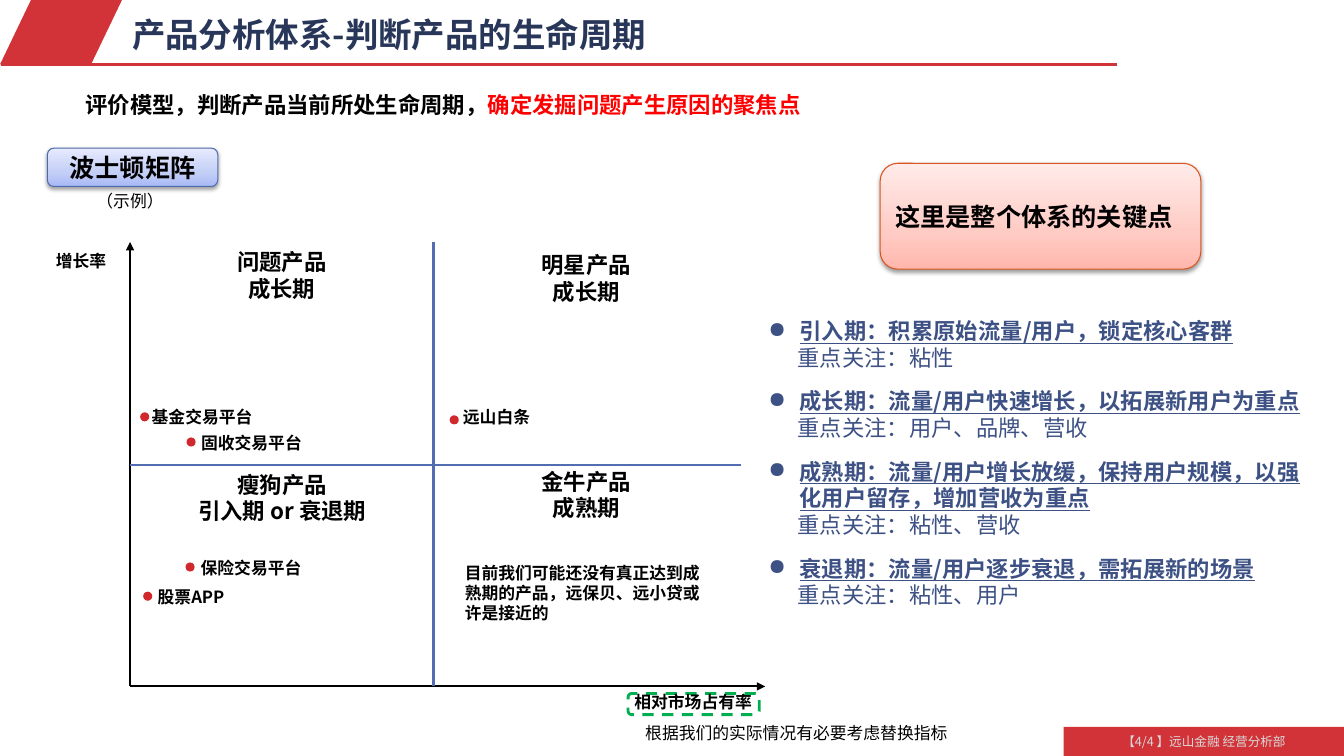
from copy import deepcopy

from lxml import etree
from pptx import Presentation
from pptx.dml.color import RGBColor
from pptx.enum import dml, shapes, text
from pptx.oxml import ns
from pptx.util import Inches, Pt

FONT = "Noto Sans CJK SC"
BLACK, RED, BLUE = "000000", "D13338", "526DB0"
LEFT, CENTER = text.PP_ALIGN.LEFT, text.PP_ALIGN.CENTER
MIDDLE = text.MSO_ANCHOR.MIDDLE
AXIS_X, AXIS_Y, TOP = 1.29, 6.81, 2.4

QUADRANTS = [
    ((2.31, 2.46, 0.97, 0.54), "问题产品", "成长期"),
    ((5.33, 2.49, 0.97, 0.48), "明星产品", "成长期"),
    ((1.91, 4.67, 1.78, 0.48), "瘦狗产品", "引入期 or 衰退期"),
    ((5.33, 4.64, 0.97, 0.48), "金牛产品", "成熟期"),
]
PRODUCTS = [
    ((1.42, 5.87), (1.41, 5.82, 0.97, 0.18), "股票APP"),
    ((1.39, 4.09), (1.47, 4.04, 1.07, 0.2), "基金交易平台"),
    ((4.46, 4.12), (4.44, 4.04, 0.97, 0.2), "远山白条"),
    ((1.84, 5.58), (1.95, 5.53, 1.08, 0.2), "保险交易平台"),
    ((1.85, 4.34), (1.96, 4.29, 1.07, 0.2), "固收交易平台"),
]
STAGES = [
    ("引入期：积累原始流量/用户，锁定核心客群", "粘性"),
    ("成长期：流量/用户快速增长，以拓展新用户为重点", "用户、品牌、营收"),
    ("成熟期：流量/用户增长放缓，保持用户规模，以强化用户留存，增加营收为重点", "粘性、营收"),
    ("衰退期：流量/用户逐步衰退，需拓展新的场景", "粘性、用户"),
]


def rgb(color):
    """Turn a hex string into a colour."""
    return RGBColor.from_string(color)


def add_xml(parent, tag, **attrs):
    """Append a child element with the given attributes."""
    return etree.SubElement(parent, ns.qn(tag), attrs)


def add_run(p, words, size, color=BLACK, bold=True, underline=False):
    """Add one formatted run to a paragraph."""
    r = p.add_run()
    r.text = words
    r.font.size, r.font.name = Pt(size), FONT
    r.font.bold, r.font.underline = bold, underline
    r.font.color.rgb = rgb(color)
    add_xml(r.font._element, "a:ea", typeface=FONT)


def add_text(s, box, lines, size, color=BLACK, bold=True, align=CENTER):
    """Add a text box without margins, one paragraph per line."""
    tf = s.shapes.add_textbox(*map(Inches, box)).text_frame
    tf.word_wrap = True
    tf.margin_left = tf.margin_right = tf.margin_top = tf.margin_bottom = 0
    for i, line in enumerate(lines):
        p = tf.add_paragraph() if i else tf.paragraphs[0]
        p.alignment = align
        add_run(p, line, size, color, bold)
    return tf


def add_shape(s, kind, box, fill=None, line=None, width=0.75):
    """Add a flat preset shape."""
    sp = s.shapes.add_shape(kind, *map(Inches, box))
    sp.shadow.inherit = False
    if fill:
        sp.fill.solid()
        sp.fill.fore_color.rgb = rgb(fill)
    else:
        sp.fill.background()
    if line:
        sp.line.color.rgb = rgb(line)
        sp.line.width = Pt(width)
    else:
        sp.line.fill.background()
    return sp


def label_shape(sp, words, size, color=BLACK, bold=True, align=CENTER):
    """Write centred-height text inside a shape."""
    tf = sp.text_frame
    tf.word_wrap = True
    tf.vertical_anchor = MIDDLE
    p = tf.paragraphs[0]
    p.alignment = align
    add_run(p, words, size, color, bold)


def add_card(s, box, colors, line, words, align):
    """Add a rounded card with a gradient and a soft shadow."""
    sp = add_shape(s, shapes.MSO_SHAPE.ROUNDED_RECTANGLE, box, line=line)
    sp.fill.gradient()
    sp.fill.gradient_angle = 90
    stops = sp._element.spPr.find(".//" + ns.qn("a:gsLst"))
    stops.append(deepcopy(stops[-1]))
    for stop, color, position in zip(sp.fill.gradient_stops, colors, (0, 0.35, 1)):
        stop.color.rgb = rgb(color)
        stop.position = position
    effects = sp._element.spPr.find(ns.qn("a:effectLst"))
    shadow = add_xml(effects, "a:outerShdw", blurRad=str(Pt(3.1)), dist=str(Pt(1.6)),
                     dir="5400000", rotWithShape="0")
    add_xml(add_xml(shadow, "a:srgbClr", val=BLACK), "a:alpha", val="38000")
    label_shape(sp, words, 18, align=align)


def add_line(s, start, end, color, arrow=False):
    """Add a straight line, optionally with an arrowhead."""
    ends = map(Inches, (*start, *end))
    c = s.shapes.add_connector(shapes.MSO_CONNECTOR.STRAIGHT, *ends)
    c.line.color.rgb = rgb(color)
    c.line.width = Pt(1.5)
    if arrow:
        add_xml(c.line._get_or_add_ln(), "a:tailEnd", type="triangle")
    add_xml(c._element.spPr, "a:effectLst")


def add_frame(s):
    """Add the heading band and the footer."""
    add_line(s, (0.01, 0.64), (11.08, 0.64), RED)
    band = add_shape(s, shapes.MSO_SHAPE.PARALLELOGRAM, (0, 0, 1.21, 0.64), RED)
    band.adjustments[0] = 0.48
    footer = add_shape(s, shapes.MSO_SHAPE.RECTANGLE, (10.55, 7.21, 2.78, 0.29), RED)
    label_shape(footer, "【4/4 】远山金融 经营分析部", 9, "D9D9D9", False)
    title = add_text(s, (1.31, 0.14, 9.34, 0.4), ["产品分析体系-判断产品的生命周期"],
                     23.9, "283659", align=LEFT)
    title.vertical_anchor = MIDDLE


def add_matrix(s):
    """Add the growth and share matrix with its products."""
    share = add_shape(s, shapes.MSO_SHAPE.ROUNDED_RECTANGLE, (6.23, 6.88, 1.3, 0.21),
                      line="00B050", width=2)
    share.line.dash_style = dml.MSO_LINE.DASH
    origin = (AXIS_X, AXIS_Y)
    add_line(s, origin, (AXIS_X, TOP), BLACK, arrow=True)
    add_line(s, origin, (7.59, AXIS_Y), BLACK, arrow=True)
    add_line(s, (4.3, TOP), (4.3, AXIS_Y), BLUE)
    add_line(s, (AXIS_X, 4.61), (7.35, 4.61), BLUE)
    add_text(s, (0.32, 2.49, 0.97, 0.18), ["增长率"], 12)
    add_text(s, (6.17, 6.86, 1.41, 0.18), ["相对市场占有率"], 12)
    for box, *lines in QUADRANTS:
        add_text(s, box, lines, 16)
    for dot, box, name in PRODUCTS:
        add_shape(s, shapes.MSO_SHAPE.OVAL, (*dot, 0.09, 0.09), "D1282E")
        add_text(s, box, [name], 12)
    add_text(s, (4.61, 5.58, 2.45, 0.61),
             ["目前我们可能还没有真正达到成熟期的产品，远保贝、远小贷或许是接近的"], 12, align=LEFT)


def add_stages(s):
    """Add the bulleted life cycle stages."""
    tf = add_text(s, (7.62, 3.15, 5.39, 2.92), [], 15.9)
    for i, (stage, focus) in enumerate(STAGES):
        p = tf.add_paragraph() if i else tf.paragraphs[0]
        p.space_before = Pt(12 if i else 0)
        pPr = p._p.get_or_add_pPr()
        pPr.set("marL", str(Inches(0.31)))
        pPr.set("indent", str(Inches(-0.31)))
        add_xml(pPr, "a:buChar", char="●")
        add_run(p, stage, 15.9, "3D5185", underline=True)
        p = tf.add_paragraph()
        p._p.get_or_add_pPr().set("marL", str(Inches(0.29)))
        add_run(p, "重点关注：" + focus, 15.9, "3D5185", bold=False)


def main():
    """Build and save the slide."""
    prs = Presentation()
    prs.slide_width, prs.slide_height = Inches(13.33), Inches(7.5)
    s = prs.slides.add_slide(prs.slide_layouts[6])
    add_frame(s)
    add_card(s, (0.47, 1.47, 1.69, 0.38), ("A9B9F6", "C3CEF7", "E7EBFD"), "4E6AAE",
             "波士顿矩阵", CENTER)
    lead = add_text(s, (0.85, 0.9, 10.27, 0.27), ["评价模型，判断产品当前所处生命周期，"],
                    16, align=LEFT)
    add_run(lead.paragraphs[0], "确定发掘问题产生原因的聚焦点", 16, "FF0000")
    add_text(s, (0.75, 1.89, 1.08, 0.2), ["（示例）"], 12, bold=False)
    add_stages(s)
    add_matrix(s)
    add_text(s, (6.38, 7.17, 3.04, 0.2), ["根据我们的实际情况有必要考虑替换指标"], 12, bold=False)
    add_card(s, (8.73, 1.62, 3.18, 1.05), ("FFB7AD", "FFCCC5", "FFEBE9"), "DC551F",
             "这里是整个体系的关键点", LEFT)


    prs.save("out.pptx")


if __name__ == "__main__":
    main()
